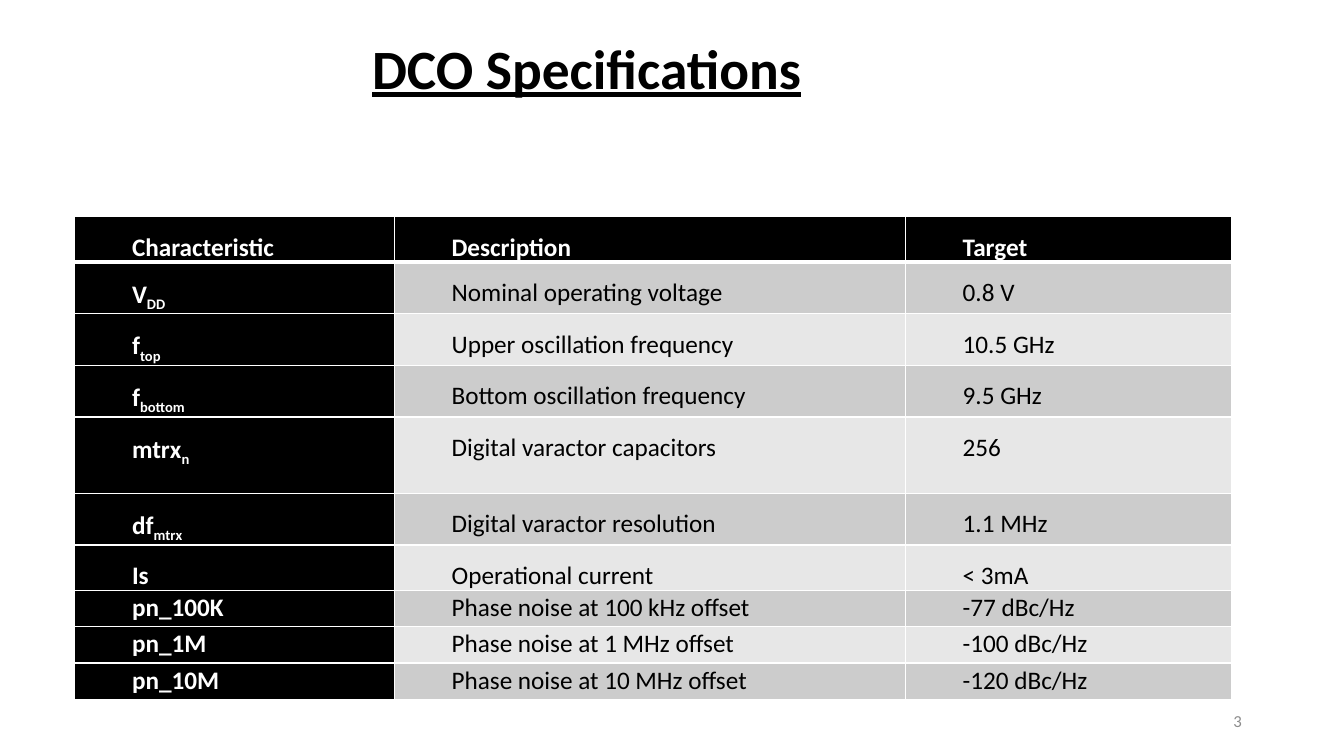
from dataclasses import dataclass

from lxml.etree import SubElement
from pptx import Presentation
from pptx.dml.color import RGBColor
from pptx.enum.text import MSO_ANCHOR, MSO_AUTO_SIZE, PP_ALIGN
from pptx.oxml.ns import qn
from pptx.util import Inches, Pt


@dataclass(frozen=True)
class Theme:
    font: str = "Calibri"
    black: str = "000000"
    white: str = "FFFFFF"
    gray: str = "8C8C8C"
    bands: tuple = ("CCCCCC", "E7E7E7")
    title_size: float = 39.6
    table_size: float = 18
    number_size: float = 12
    thin_line: float = 1
    thick_line: float = 3


HEADINGS = ("Characteristic", "Description", "Target")
SPECIFICATIONS = (
    (("V", "DD"), "Nominal operating voltage", "0.8 V"),
    (("f", "top"), "Upper oscillation frequency", "10.5 GHz"),
    (("f", "bottom"), "Bottom oscillation frequency", "9.5 GHz"),
    (("mtrx", "n"), "Digital varactor capacitors", "256"),
    (("df", "mtrx"), "Digital varactor resolution", "1.1 MHz"),
    ("Is", "Operational current", "< 3mA"),
    ("pn_100K", "Phase noise at 100 kHz offset", "-77 dBc/Hz"),
    ("pn_1M", "Phase noise at 1 MHz offset", "-100 dBc/Hz"),
    ("pn_10M", "Phase noise at 10 MHz offset", "-120 dBc/Hz"),
)
COLUMN_SHARES = (23.78, 38.03, 24.3)
ROW_SHARE = 4.8
TALL_ROW, TALL_ROW_SHARE = 4, 10.13
FIRST_NOISE_ROW = 7
LOOSE = {"line_spacing": 1.5}
COMPACT = {"line_spacing": 1.07, "space_after": Pt(8)}


def apply(target, formats):
    for name, value in formats.items():
        setattr(target, name, value)


class SlideBuilder:
    def __init__(self, presentation, theme):
        self.theme = theme
        self.width = presentation.slide_width
        self.height = presentation.slide_height
        self.slide = presentation.slides.add_slide(presentation.slide_layouts[5])

    def across(self, percent):
        return round(self.width * percent / 100)

    def down(self, percent):
        return round(self.height * percent / 100)

    def box(self, left, top, width, height):
        return self.across(left), self.down(top), self.across(width), self.down(height)

    def add_text(self, paragraph, text, color, size, baseline=0, **formats):
        run = paragraph.add_run()
        run.text = text
        apply(run.font, {"name": self.theme.font, "size": Pt(size), **formats})
        run.font.color.rgb = RGBColor.from_string(color)
        if baseline:
            run.font._element.set("baseline", str(baseline))

    def title(self, text, area):
        shape = self.slide.shapes.title
        apply(shape, dict(zip(("left", "top", "width", "height"), self.box(*area))))
        apply(shape.text_frame, {"vertical_anchor": MSO_ANCHOR.MIDDLE,
                                 "auto_size": MSO_AUTO_SIZE.NONE})
        paragraph = shape.text_frame.paragraphs[0]
        apply(paragraph, {"alignment": PP_ALIGN.LEFT, "line_spacing": 0.9})
        self.add_text(paragraph, text, self.theme.black, self.theme.title_size,
                      bold=True, underline=True)

    def page_number(self, text, area):
        frame = self.slide.shapes.add_textbox(*self.box(*area)).text_frame
        apply(frame, {"word_wrap": True, "vertical_anchor": MSO_ANCHOR.MIDDLE})
        paragraph = frame.paragraphs[0]
        paragraph.alignment = PP_ALIGN.RIGHT
        self.add_text(paragraph, text, self.theme.gray, self.theme.number_size)

    def borders(self, cell, row):
        properties = cell._tc.get_or_add_tcPr()
        thick_sides = {0: "B", 1: "T"}.get(row, "")
        for side in "LRTB":
            points = self.theme.thick_line if side in thick_sides else self.theme.thin_line
            line = SubElement(properties, qn(f"a:ln{side}"), w=str(Pt(points)))
            fill = SubElement(line, qn("a:solidFill"))
            SubElement(fill, qn("a:srgbClr"), val=self.theme.white)

    def cell(self, cell, content, row, column):
        theme = self.theme
        emphasized = row == 0 or column == 0
        self.borders(cell, row)
        cell.fill.solid()
        background = theme.black if emphasized else theme.bands[(row - 1) % 2]
        cell.fill.fore_color.rgb = RGBColor.from_string(background)
        apply(cell, {"margin_left": Inches(0.07), "margin_right": Inches(0.07),
                     "margin_top": 0, "margin_bottom": 0})
        paragraph = cell.text_frame.paragraphs[0]
        apply(paragraph, COMPACT if row >= FIRST_NOISE_ROW else LOOSE)
        indent = paragraph._p.get_or_add_pPr()
        indent.set("marL", str(Inches(0.5)))
        indent.set("indent", "0")
        parts = (content,) if isinstance(content, str) else content
        for text, baseline in zip(parts, (0, -25000)):
            self.add_text(paragraph, text, theme.white if emphasized else theme.black,
                          theme.table_size, baseline, bold=emphasized)

    def table(self, rows, left, top):
        heights = [TALL_ROW_SHARE if index == TALL_ROW else ROW_SHARE
                   for index in range(len(rows))]
        area = self.box(left, top, sum(COLUMN_SHARES), sum(heights))
        table = self.slide.shapes.add_table(len(rows), len(COLUMN_SHARES), *area).table
        for column, share in zip(table.columns, COLUMN_SHARES):
            column.width = self.across(share)
        for row, share in zip(table.rows, heights):
            row.height = self.down(share)
        for row, contents in enumerate(rows):
            for column, content in enumerate(contents):
                self.cell(table.cell(row, column), content, row, column)


def main():
    presentation = Presentation()
    apply(presentation, {"slide_width": Inches(13.33), "slide_height": Inches(7.5)})
    builder = SlideBuilder(presentation, Theme())
    builder.title("DCO Specifications", (26.93, 5.2, 54.98, 8.4))
    builder.page_number("3", (70.65, 92.67, 22.5, 5.33))
    builder.table((HEADINGS, *SPECIFICATIONS), 5.55, 28.67)
    presentation.save("out.pptx")


if __name__ == "__main__":
    main()
